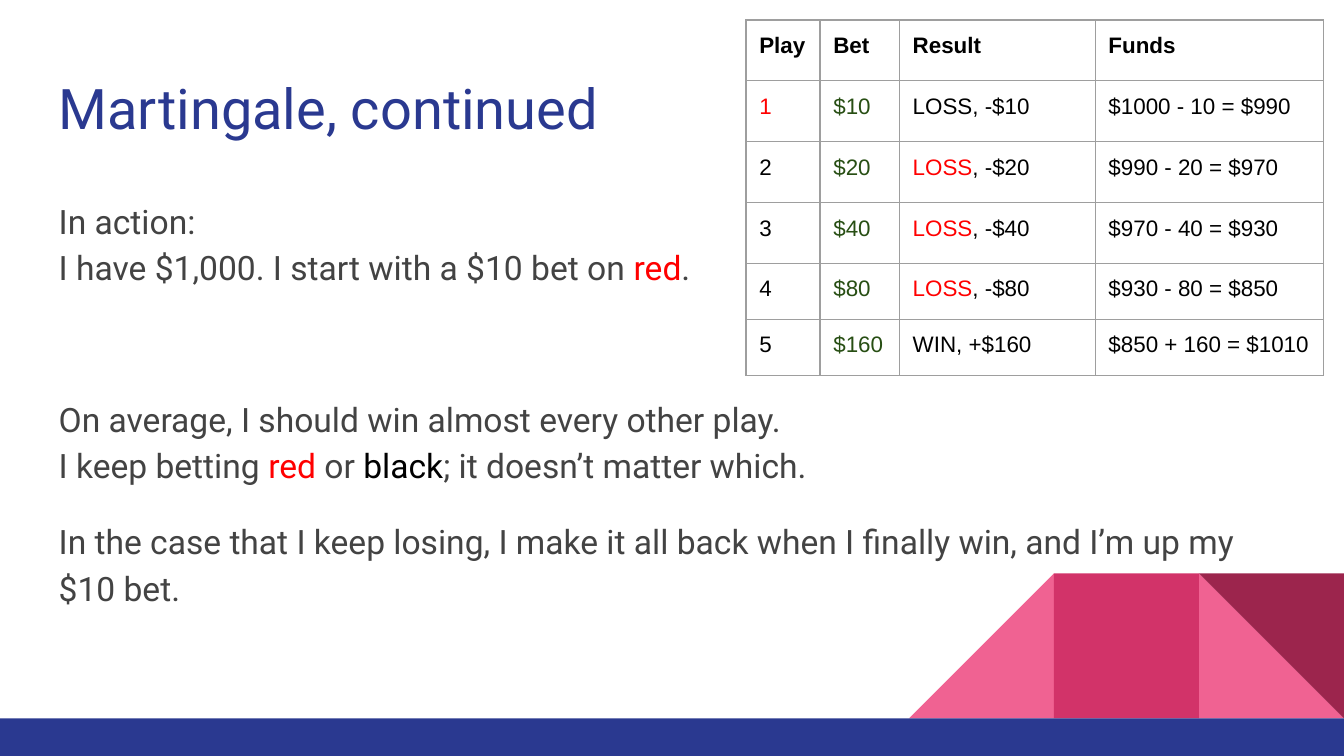
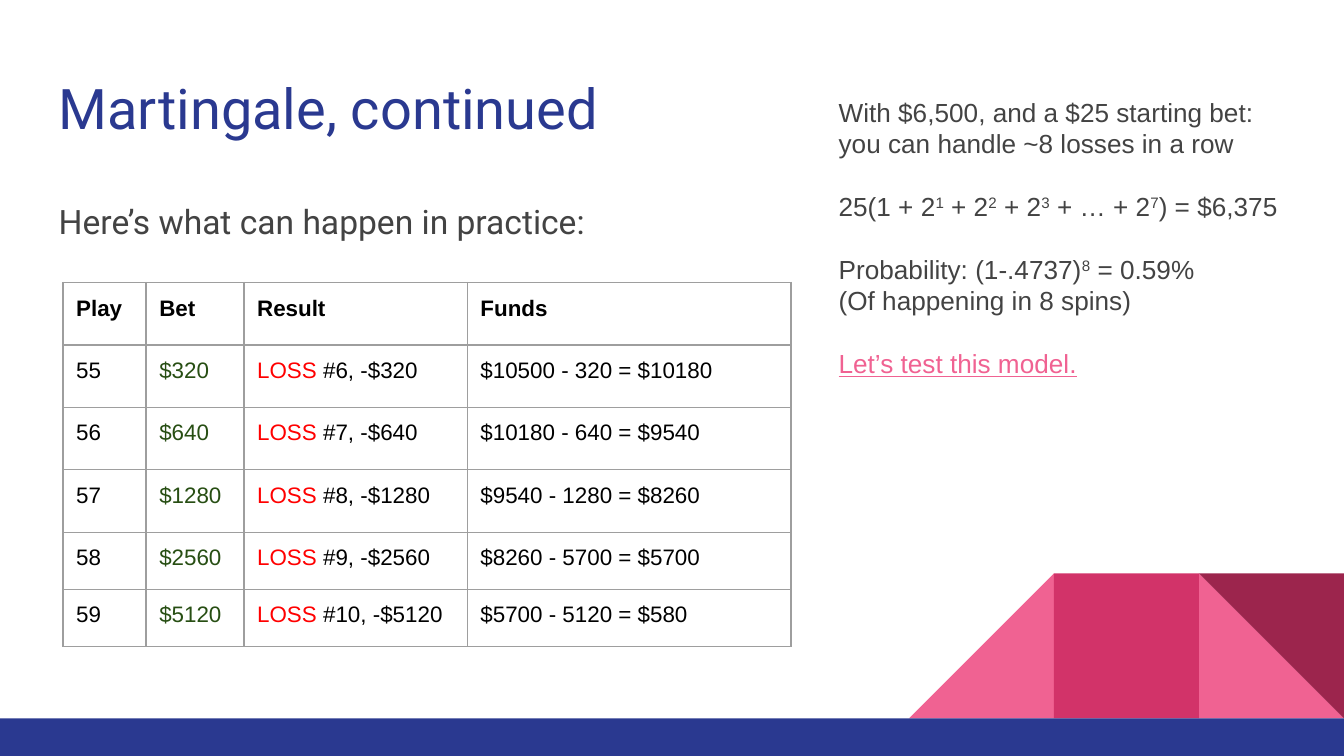
import dataclasses

import lxml.etree
import pptx
import pptx.dml.color
import pptx.enum.shapes
import pptx.oxml.ns
import pptx.util

Cm = pptx.util.Cm
Pt = pptx.util.Pt
MSO_SHAPE = pptx.enum.shapes.MSO_SHAPE


@dataclasses.dataclass(frozen=True)
class Theme:
    heading_font: str = "Roboto"
    plain_font: str = "Arial"
    navy: str = "2A3990"
    pink: str = "F06292"
    rose: str = "D23369"
    wine: str = "9C254D"
    grey: str = "434343"
    black: str = "000000"
    red: str = "FF0000"
    green: str = "274E13"
    white: str = "FFFFFF"
    grid: str = "9E9E9E"
    title_size: int = 30
    body_size: int = 18
    side_size: int = 14
    table_size: int = 12
    body_leading: float = 1.15
    body_gap: int = 16
    grid_width: float = 0.75
    inset: float = 0.25


@dataclasses.dataclass(frozen=True)
class Box:
    left: float
    top: float
    width: float
    height: float

    def lengths(self):
        return [Cm(value) for value in dataclasses.astuple(self)]


THEME = Theme()
PAGE = Box(0, 0, 25.4, 14.29)
TITLE_BOX = Box(0.86, 1.14, 23.67, 1.68)
BODY_BOX = Box(0.86, 3.43, 23.67, 9.27)
SIDE_BOX = Box(15.6, 1.57, 9.37, 8.18)

TITLE_FORMAT = {"name": THEME.heading_font, "size": Pt(THEME.title_size), "color": THEME.navy}
BODY_FORMAT = {"name": THEME.heading_font, "size": Pt(THEME.body_size), "color": THEME.grey}
SIDE_FORMAT = {"name": THEME.plain_font, "size": Pt(THEME.side_size), "color": THEME.grey}
CELL_FORMAT = {"name": THEME.plain_font, "size": Pt(THEME.table_size), "color": THEME.black}
RED = {"color": THEME.red}
GREEN = {"color": THEME.green}
BLACK = {"color": THEME.black}
POWER = {"baseline": 30000}
LINK_LOOK = {"color": THEME.pink, "underline": True}

TITLE = "Martingale, continued"
HEADINGS = ("Play", "Bet", "Result", "Funds")


def rgb(value):
    return pptx.dml.color.RGBColor.from_string(value)


def write_runs(paragraph, runs, base_format):
    for text, changes in runs:
        for index, line in enumerate(text.split("\n")):
            if index:
                paragraph.add_line_break()
            run = paragraph.add_run()
            run.text = line
            for name, value in {**base_format, **changes}.items():
                if name == "color":
                    run.font.color.rgb = rgb(value)
                elif name == "baseline":
                    run._r.get_or_add_rPr().set("baseline", str(value))
                else:
                    setattr(run.font, name, value)


def add_text(slide, box, paragraphs, base_format):
    frame = slide.shapes.add_textbox(*box.lengths()).text_frame
    frame.word_wrap = True
    for side in ("left", "top", "right", "bottom"):
        setattr(frame, f"margin_{side}", Cm(THEME.inset))
    for index, (runs, spacing) in enumerate(paragraphs):
        paragraph = frame.add_paragraph() if index else frame.paragraphs[0]
        for name, value in spacing.items():
            setattr(paragraph, name, value)
        write_runs(paragraph, runs, base_format)


def add_body(slide, box, paragraphs):
    base = {"line_spacing": THEME.body_leading, "space_after": Pt(THEME.body_gap)}
    spaced = [(runs, {**base, **spacing}) for runs, spacing in paragraphs]
    add_text(slide, box, spaced, BODY_FORMAT)


def add_decor(slide, box):
    band_height = 0.71
    edge = 2.74
    band_top = box.top + box.height - band_height
    right = box.left + box.width
    top = band_top - edge
    triangle = MSO_SHAPE.RIGHT_TRIANGLE
    tiles = [
        (triangle, 1, 0, THEME.pink),
        (triangle, 3, 270, THEME.pink),
        (MSO_SHAPE.RECTANGLE, 2, 0, THEME.rose),
        (triangle, 1, 180, THEME.wine),
    ]
    parts = [
        (kind, Box(right - steps * edge, top, edge, edge), turn, color)
        for kind, steps, turn, color in tiles
    ]
    band = Box(box.left, band_top, box.width, band_height)
    parts.append((MSO_SHAPE.RECTANGLE, band, 0, THEME.navy))
    for kind, place, turn, color in parts:
        part = slide.shapes.add_shape(kind, *place.lengths())
        part.rotation = turn
        part.shadow.inherit = False
        part.fill.solid()
        part.fill.fore_color.rgb = rgb(color)
        part.line.fill.background()


def add_cell_borders(cell):
    properties = cell._tc.get_or_add_tcPr()
    qn = pptx.oxml.ns.qn
    for index, tag in enumerate(("a:lnL", "a:lnR", "a:lnT", "a:lnB")):
        border = lxml.etree.Element(qn(tag), w=str(Pt(THEME.grid_width)))
        fill = lxml.etree.SubElement(border, qn("a:solidFill"))
        lxml.etree.SubElement(fill, qn("a:srgbClr"), val=THEME.grid)
        properties.insert(index, border)


def add_plays(slide, left, top, widths, heights, plays):
    box = Box(left, top, sum(widths), sum(heights))
    frame = slide.shapes.add_table(len(heights), len(widths), *box.lengths())
    table = frame.table
    table.first_row = False
    table.horz_banding = False
    for column, width in zip(table.columns, widths):
        column.width = Cm(width)
    for row, height in zip(table.rows, heights):
        row.height = Cm(height)
    rows = [[[(heading, {"bold": True})] for heading in HEADINGS]]
    for play, bet, result, funds in plays:
        rows.append([play, [(bet, GREEN)], result, [(funds, {})]])
    for row, contents in zip(table.rows, rows):
        for cell, runs in zip(row.cells, contents):
            for side in ("left", "top", "right", "bottom"):
                setattr(cell, f"margin_{side}", Cm(THEME.inset))
            cell.fill.background()
            add_cell_borders(cell)
            write_runs(cell.text_frame.paragraphs[0], runs, CELL_FORMAT)


def start_slide(presentation):
    slide = presentation.slides.add_slide(presentation.slide_layouts[6])
    slide.background.fill.solid()
    slide.background.fill.fore_color.rgb = rgb(THEME.white)
    add_decor(slide, PAGE)
    add_text(slide, TITLE_BOX, [([(TITLE, {})], {})], TITLE_FORMAT)
    return slide


def build_theory(presentation):
    slide = start_slide(presentation)
    add_body(slide, BODY_BOX, [
        ([("In action:\nI have $1,000. I start with a $10 bet on ", {}),
          ("red", RED), (".", {})], {}),
        ([("On average, I should win almost every other play.\nI keep betting ", {}),
          ("red ", RED), ("or ", {}), ("black", BLACK),
          ("; it doesn’t matter which.", {})], {"space_before": Pt(40.5)}),
        ([("In the case that I keep losing, I make it all back when I finally win, "
           "and I’m up my $10 bet.", {})], {}),
    ])
    plays = [
        ([("1", RED)], "$10", [("LOSS, -$10", {})], "$1000 - 10 = $990"),
        ([("2", {})], "$20", [("LOSS", RED), (", -$20", {})], "$990 - 20 = $970"),
        ([("3", {})], "$40", [("LOSS", RED), (", -$40", {})], "$970 - 40 = $930"),
        ([("4", {})], "$80", [("LOSS", RED), (", -$80", {})], "$930 - 80 = $850"),
        ([("5", {})], "$160", [("WIN, +$160", {})], "$850 + 160 = $1010"),
    ]
    add_plays(slide, 14.1, 0.38, (1.4, 1.5, 3.7, 4.32), [1.15] * 4 + [1.06] * 2, plays)


def build_practice(presentation):
    slide = start_slide(presentation)
    add_body(slide, BODY_BOX, [([("Here’s what can happen in practice:", {})], {})])
    losses = [
        ("55", "$320", "#6", "$10500 - 320 = $10180"),
        ("56", "$640", "#7", "$10180 - 640 = $9540"),
        ("57", "$1280", "#8", "$9540 - 1280 = $8260"),
        ("58", "$2560", "#9", "$8260 - 5700 = $5700"),
        ("59", "$5120", "#10", "$5700 - 5120 = $580"),
    ]
    plays = [
        ([(play, {})], bet, [("LOSS ", RED), (f"{streak}, -{bet}", {})], funds)
        for play, bet, streak, funds in losses
    ]
    add_plays(slide, 1.19, 5.34, (1.57, 1.85, 4.22, 6.12), [1.18] * 4 + [1.08] * 2, plays)
    gap = {"space_before": Pt(16.8)}
    add_text(slide, SIDE_BOX, [
        ([("With $6,500, and a $25 starting bet:", {})], {}),
        ([("you can handle ~8 losses in a row", {})], {}),
        ([("25(1 + 2", {}), ("1", POWER), (" + 2", {}), ("2", POWER), (" + 2", {}),
          ("3", POWER), (" + … + 2", {}), ("7", POWER), (") = $6,375", {})], gap),
        ([("Probability: (1-.4737)", {}), ("8", POWER), (" = 0.59%", {})], gap),
        ([("(Of happening in 8 spins)", {})], {}),
        ([("Let’s test this model.", LINK_LOOK)], gap),
    ], SIDE_FORMAT)


def main():
    presentation = pptx.Presentation()
    presentation.slide_width = Cm(PAGE.width)
    presentation.slide_height = Cm(PAGE.height)
    build_theory(presentation)
    build_practice(presentation)
    presentation.save("out.pptx")


if __name__ == "__main__":
    main()
